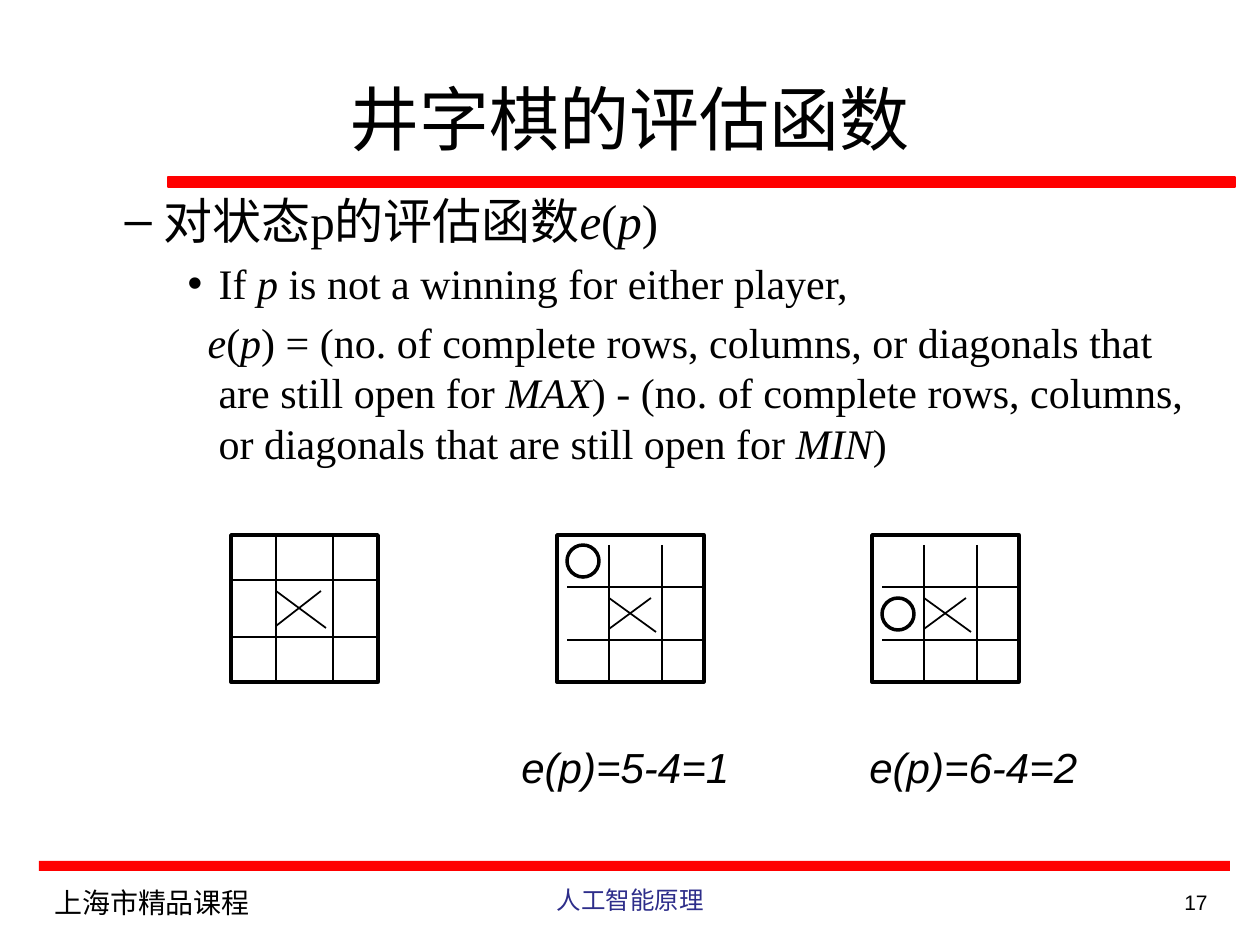
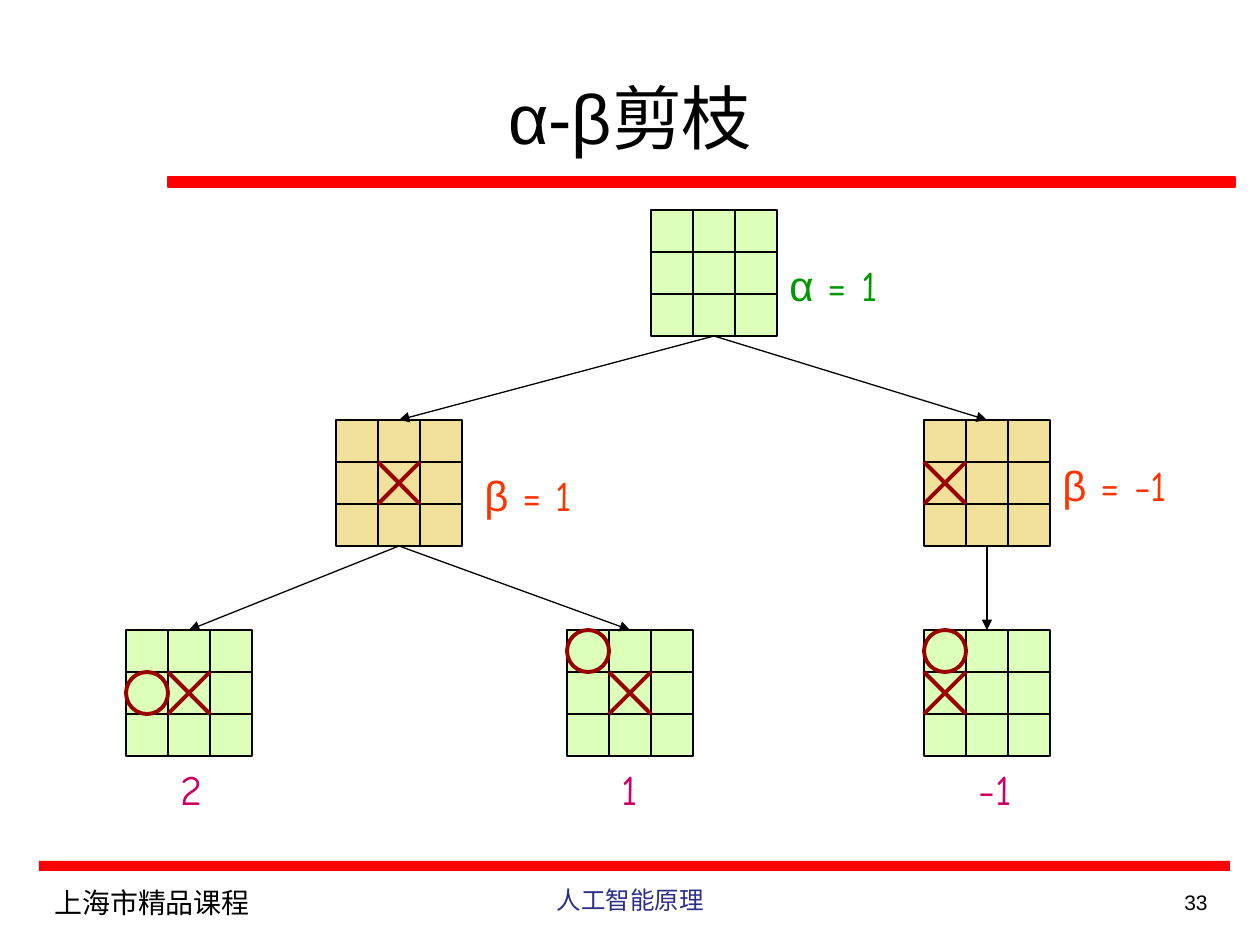
from dataclasses import dataclass

from lxml import etree
from pptx import Presentation
from pptx.dml.color import RGBColor
from pptx.enum import shapes, text
from pptx.oxml.ns import qn
from pptx.util import Emu, Pt

PX = 914400 / 126


@dataclass(frozen=True)
class Theme:
    black: str = "000000"
    red: str = "FF0000"
    navy: str = "2D2D8A"
    mark: str = "990000"
    max_fill: str = "DCFFB9"
    min_fill: str = "F0E09A"
    alpha: str = "009900"
    beta: str = "FF3300"
    score: str = "CC0066"
    sans: str = "Arial"
    serif: str = "Times New Roman"
    comic: str = "Comic Neue"
    cjk: str = "Noto Sans CJK SC"
    title: int = 40
    lead: int = 28
    body: int = 24
    course: int = 16
    subject: int = 14
    number: int = 12


T = Theme()

# ---- Content: evaluation function
EVAL_TITLE = "井字棋的评估函数"
# level, size, left margin, first-line indent, bullet, text (odd pieces italic)
EVAL_LINES = [
    (1, T.lead, 102, -39, "–", ["对状态p的评估函数", "e", "(", "p", ")"]),
    (2, T.body, 157, -31, "•", ["If ", "p", " is not a winning for either player,"]),
    (2, T.body, 157, -11, None, [
        "", "e", "(", "p",
        ") = (no. of complete rows, columns, or diagonals that are still open for ",
        "MAX", ") - (no. of complete rows, columns, or diagonals that are still open for ",
        "MIN", ")"]),
]
EVAL_RESULTS = "e(p)=5-4=1\te(p)=6-4=2"
SKETCH_TOP, SKETCH_SIZE = 535, 147
FIRST_CROSS = [(0, 0, 50, 37), (45, 0, 0, 35)]
NEXT_CROSS = [(0, 0, 47, 34), (42, 0, 0, 31)]
# left, grid cuts, grid inset, cross strokes, cross drop, circle offset
SKETCHES = [
    (231, (45, 102), 0, FIRST_CROSS, 56, None),
    (557, (52, 105), 10, NEXT_CROSS, 63, (10, 10)),
    (872, (52, 105), 10, NEXT_CROSS, 63, (10, 63)),
]

# ---- Content: pruning tree
TREE_TITLE = "α-β剪枝"
CELL = 42
# name: left, top, fill, cross (column, row), circle (column, row)
BOARDS = {
    "root": (651, 210, T.max_fill, None, None),
    "centre": (336, 420, T.min_fill, (1, 1), None),
    "side": (924, 420, T.min_fill, (0, 1), None),
    "leaf 2": (126, 630, T.max_fill, (1, 1), (0, 1)),
    "leaf 1": (567, 630, T.max_fill, (1, 1), (0, 0)),
    "leaf -1": (924, 630, T.max_fill, (0, 1), (0, 0)),
}
MOVES = [("root", "centre"), ("root", "side"), ("centre", "leaf 2"),
         ("centre", "leaf 1"), ("side", "leaf -1")]
# left, top, width, colour, Greek letter, value
LABELS = [
    (777, 253, 117, T.alpha, "α", " = 1"),
    (472, 463, 115, T.beta, "β", " = 1"),
    (1050, 453, 144, T.beta, "β", " = -1"),
    (168, 757, 50, T.score, "", "2"),
    (609, 757, 44, T.score, "", "1"),
    (966, 757, 62, T.score, "", "-1"),
]

# ---- Shared frame: bounds and outline of each band
BANDS = [((39, 861, 1191, 10), None), ((168, 177, 1067, 10), T.red)]
FOOTERS = [
    (42, 879, 336, 65, "上海市精品课程", T.course, T.cjk, T.black, text.PP_ALIGN.LEFT),
    (431, 879, 399, 65, "人工智能原理", T.subject, T.cjk, T.navy, text.PP_ALIGN.CENTER),
]


def px(*lengths):
    return [Emu(round(length * PX)) for length in lengths]


def set_font(para, size, name, color=T.black, italic=None):
    font = para.font
    font.size, font.name, font.italic = Pt(size), name, italic
    font.color.rgb = RGBColor.from_string(color)
    east = etree.SubElement(para._p.pPr.find(qn("a:defRPr")), qn("a:ea"))
    east.set("typeface", T.cjk)


def add_text(page, bounds, words, size, name, color=T.black, align=None,
             italic=None, wrap=True, tab=None):
    box = page.shapes.add_textbox(*px(*bounds))
    box.text_frame.word_wrap = wrap
    if not wrap:
        box.text_frame.auto_size = text.MSO_AUTO_SIZE.SHAPE_TO_FIT_TEXT
    para = box.text_frame.paragraphs[0]
    para.alignment = align
    if tab:
        stops = etree.SubElement(para._p.get_or_add_pPr(), qn("a:tabLst"))
        etree.SubElement(stops, qn("a:tab"), pos=str(px(tab)[0]), algn="l")
    set_font(para, size, name, color, italic)
    for piece in words if isinstance(words, list) else [words]:
        span = para.add_run()
        span.text = piece
    return para


def add_shape(page, kind, bounds, fill=None, line=T.black, weight=0.75):
    shape = page.shapes.add_shape(kind, *px(*bounds))
    shape.shadow.inherit = False
    if fill:
        shape.fill.solid()
        shape.fill.fore_color.rgb = RGBColor.from_string(fill)
    else:
        shape.fill.background()
    if line:
        shape.line.color.rgb = RGBColor.from_string(line)
        shape.line.width = Pt(weight)
    else:
        shape.line.fill.background()
    return shape


def add_line(page, x1, y1, x2, y2, color=T.black, weight=0.75):
    line = page.shapes.add_connector(shapes.MSO_CONNECTOR.STRAIGHT, *px(x1, y1, x2, y2))
    line.line.color.rgb = RGBColor.from_string(color)
    line.line.width = Pt(weight)
    etree.SubElement(line._element.spPr, qn("a:effectLst"))
    return line


def add_grid(page, left, top, size, cuts, inset, weight):
    for cut in cuts:
        add_line(page, left + cut, top + inset, left + cut, top + size, weight=weight)
        add_line(page, left + inset, top + cut, left + size, top + cut, weight=weight)


def add_page(deck, layout, title, title_bounds, number):
    page = deck.slides.add_slide(deck.slide_layouts[layout])
    for bounds, outline in BANDS:
        add_shape(page, shapes.MSO_SHAPE.RECTANGLE, bounds, T.red, outline)
    heading = page.shapes.title
    heading.left, heading.top, heading.width, heading.height = px(*title_bounds)
    heading.text_frame.text = title
    heading.text_frame.auto_size = text.MSO_AUTO_SIZE.NONE
    heading.text_frame.vertical_anchor = text.MSO_ANCHOR.MIDDLE
    set_font(heading.text_frame.paragraphs[0], T.title, T.sans)
    for *bounds, words, size, name, color, align in FOOTERS:
        add_text(page, bounds, words, size, name, color, align)
    add_text(page, (1081, 883, 139, 30), str(number), T.number, T.sans,
             align=text.PP_ALIGN.RIGHT)
    return page


def fill_body(body):
    body.left, body.top, body.width, body.height = px(49, 184, 1163, 329)
    frame = body.text_frame
    frame.auto_size = text.MSO_AUTO_SIZE.NONE
    for index, (level, size, margin, indent, bullet, pieces) in enumerate(EVAL_LINES):
        para = frame.add_paragraph() if index else frame.paragraphs[0]
        para.level = level
        if not index:
            para.space_before = Pt(0)
        props = para._p.get_or_add_pPr()
        props.set("marL", str(px(margin)[0]))
        props.set("indent", str(px(indent)[0]))
        if bullet:
            etree.SubElement(props, qn("a:buChar"), char=bullet)
        else:
            etree.SubElement(props, qn("a:buNone"))
        set_font(para, size, T.serif)
        for place, piece in enumerate(pieces):
            if piece:
                span = para.add_run()
                span.text = piece
                span.font.italic = place % 2 == 1


def add_sketch(page, left, cuts, inset, cross, drop, circle):
    top = SKETCH_TOP
    add_grid(page, left, top, SKETCH_SIZE, cuts, inset, 1)
    x, y = left + cuts[0], top + drop
    for x1, y1, x2, y2 in cross:
        add_line(page, x + x1, y + y1, x + x2, y + y2, weight=1)
    add_shape(page, shapes.MSO_SHAPE.RECTANGLE, (left, top, SKETCH_SIZE, SKETCH_SIZE),
              weight=2)
    if circle:
        add_shape(page, shapes.MSO_SHAPE.OVAL,
                  (left + circle[0], top + circle[1], 32, 32), weight=2)


def add_board(page, left, top, fill, cross, circle):
    size = 3 * CELL
    board = add_shape(page, shapes.MSO_SHAPE.RECTANGLE, (left, top, size, size), fill)
    add_grid(page, left, top, size, (CELL, 2 * CELL), 0, 0.75)
    if cross:
        x, y = left + cross[0] * CELL, top + cross[1] * CELL
        add_line(page, x, y, x + CELL, y + CELL, T.mark, 2.25)
        add_line(page, x, y + CELL, x + CELL, y, T.mark, 2.25)
    if circle:
        x, y = left + circle[0] * CELL, top + circle[1] * CELL
        add_shape(page, shapes.MSO_SHAPE.OVAL, (x, y, CELL, CELL), None, T.mark, 2.25)
    return board


def add_move(page, parent, child):
    arrow = add_line(page, 0, 0, 1, 1)
    arrow.begin_connect(parent, 2)
    arrow.end_connect(child, 0)
    etree.SubElement(arrow.line._get_or_add_ln(), qn("a:tailEnd"), type="triangle")


def build_evaluation(deck):
    page = add_page(deck, 1, EVAL_TITLE, (34, 63, 1191, 110), 17)
    fill_body(page.placeholders[1])
    for sketch in SKETCHES:
        add_sketch(page, *sketch)
    add_text(page, (509, 735, 725, 64), EVAL_RESULTS, T.body, T.sans,
             italic=True, tab=348)


def build_tree(deck):
    page = add_page(deck, 5, TREE_TITLE, (63, 38, 1134, 158), 33)
    boards = {name: add_board(page, *board) for name, board in BOARDS.items()}
    for parent, child in MOVES:
        add_move(page, boards[parent], boards[child])
    for left, top, width, color, letter, value in LABELS:
        pieces = [letter, value] if letter else [value]
        para = add_text(page, (left, top, width, 63), pieces, T.body, T.comic,
                        color, wrap=False)
        if letter:
            para.runs[0].font.name = T.sans


def main():
    deck = Presentation()
    deck.slide_width, deck.slide_height = px(1260, 945)
    build_evaluation(deck)
    build_tree(deck)
    deck.save("out.pptx")


if __name__ == "__main__":
    main()
